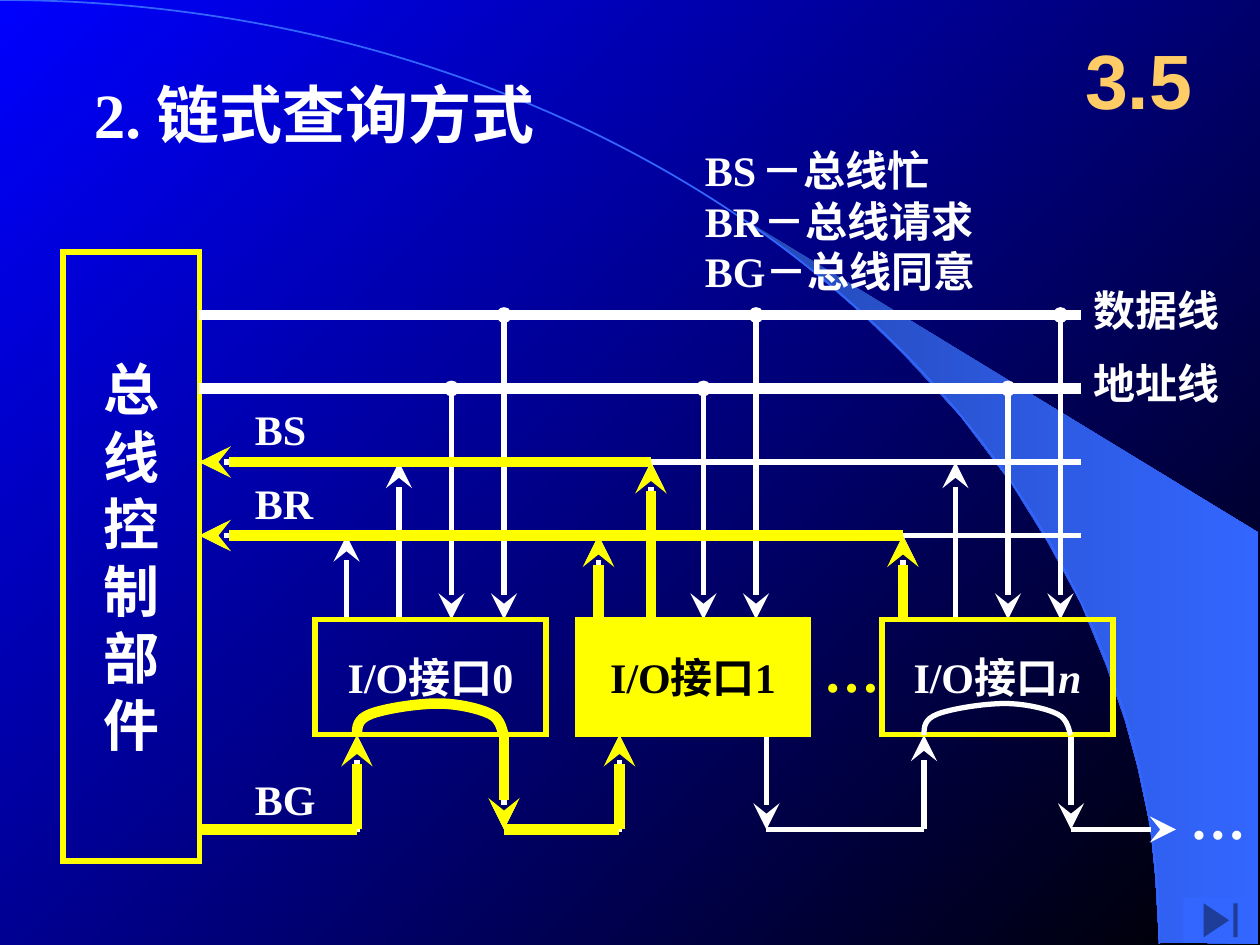
from lxml.etree import SubElement
from pptx import Presentation
from pptx.dml.color import RGBColor
from pptx.enum.shapes import MSO_CONNECTOR, MSO_SHAPE
from pptx.enum.text import MSO_ANCHOR, MSO_AUTO_SIZE, PP_ALIGN
from pptx.oxml.ns import qn
from pptx.util import Cm, Pt

COLORS = {"white": "FFFFFF", "yellow": "FFFF00", "black": "000000", "blue": "0000FF",
          "sky": "3366FF", "deep": "2449B6", "orange": "FFCC66"}
DATA_Y, ADDRESS_Y, BUSY_Y, REQUEST_Y, GRANT_Y = 30, 37, 44, 51, 79
BUS_LEFT, BUS_RIGHT = 19, 103
DEVICE_TOP, DEVICE_WIDTH, DEVICE_HEIGHT = 59, 22, 11
DEVICE_BOTTOM = DEVICE_TOP + DEVICE_HEIGHT
GRANT_IN, GRANT_OUT = 4, 18


def grid(count):
    """Return a length of so many twelfths of an inch."""
    return Cm(count * 2.54 / 12)


def rgb(name):
    """Look up a palette colour."""
    return RGBColor.from_string(COLORS[name])


def format_text(frame, size, color="white", font="Times New Roman", align=PP_ALIGN.LEFT,
                anchor=MSO_ANCHOR.TOP, wrap=False):
    """Format every run in a text frame alike."""
    frame.word_wrap = wrap
    frame.auto_size = MSO_AUTO_SIZE.NONE
    frame.vertical_anchor = anchor
    for para in frame.paragraphs:
        para.alignment = align
        for span in para.runs:
            span.font.size = Pt(size)
            span.font.bold = True
            span.font.name = font
            span.font.color.rgb = rgb(color)


def add_label(page, text, left, top, width, height, size=24, **style):
    """Add a text box and return its frame."""
    box = page.shapes.add_textbox(*map(grid, (left, top, width, height)))
    box.text_frame.text = text
    format_text(box.text_frame, size, **style)
    return box.text_frame


def style_line(shape, color, weight, head=None, tail=None):
    """Set the stroke of a shape or connector, with mitred joins and line ends."""
    shape.line.color.rgb = rgb(color)
    shape.line.width = Pt(weight)
    stroke = shape.element.spPr.find(qn("a:ln"))
    SubElement(stroke, qn("a:miter"), lim="800000")
    for tag, kind in (("a:headEnd", head), ("a:tailEnd", tail)):
        if kind:
            size = "lg" if kind == "stealth" and weight < 6 else "med"
            SubElement(stroke, qn(tag), type=kind, w=size, len=size)


def add_line(page, start, end, color="white", weight=3, head=None, tail=None):
    """Add a straight connector between two grid points."""
    line = page.shapes.add_connector(MSO_CONNECTOR.STRAIGHT, *map(grid, (*start, *end)))
    style_line(line, color, weight, head, tail)
    SubElement(line.element.spPr, qn("a:effectLst"))


def add_outline(page, points, close=False):
    """Add an unfilled freeform through grid points."""
    dots = [(grid(x), grid(y)) for x, y in points]
    builder = page.shapes.build_freeform(*dots[0], scale=1.0)
    builder.add_line_segments(dots[1:], close=close)
    outline = builder.convert_to_shape()
    outline.shadow.inherit = False
    outline.fill.background()
    return outline


def add_curve(page, points):
    """Add a chain of cubic curves from a start and triples of control points."""
    curve = add_outline(page, points)
    track = next(curve.element.iter(qn("a:path")))
    segments = track.findall(qn("a:lnTo"))
    for index in range(0, len(segments), 3):
        bend = SubElement(track, qn("a:cubicBezTo"))
        for segment in segments[index:index + 3]:
            bend.append(segment[0])
            track.remove(segment)
    return curve


def set_gradient(fill, colors, angle):
    """Apply a two-colour linear gradient."""
    fill.gradient()
    fill.gradient_angle = angle
    for stop, color in zip(fill.gradient_stops, colors):
        stop.color.rgb = rgb(color)


def add_backdrop(page, width, height):
    """Paint the gradient, the wedge and the large arc."""
    set_gradient(page.background.fill, ("blue", "black"), 315)
    edge = [(5.89, 1.73), (6.24, 1.99), (6.53, 2.22), (6.85, 2.5), (7.16, 2.8), (7.62, 3.3),
            (8.03, 3.84), (8.32, 4.31), (8.58, 4.79), (8.78, 5.28), (8.93, 5.72),
            (9.03, 6.09), (9.13, 6.56), (9.17, 6.96), (9.2, 7.48)]
    corners = [(width, height), (width, 50.76)]
    wedge = add_outline(page, [(x * 12, y * 12) for x, y in edge] + corners, close=True)
    set_gradient(wedge.fill, ("deep", "sky"), 0)
    wedge.line.fill.background()
    arc = add_curve(page, [(0, 0), (60.96, 0), (110.4, 40.2), (110.4, height)])
    style_line(arc, "sky", 1)


def add_heading(page, left, top, width, height):
    """Place the title, the section number and the legend."""
    title = page.shapes.title
    title.element.getparent().append(title.element)
    title.left, title.top, title.width, title.height = map(grid, (left, top, width, height))
    title.text_frame.text = "2. 链式查询方式"
    format_text(title.text_frame, 36, wrap=True)
    add_label(page, "3.5", left + 93.2, top - 4.6, 15, 11, 44, color="orange", font="Arial",
              align=PP_ALIGN.CENTER, anchor=MSO_ANCHOR.MIDDLE, wrap=True)
    legend = add_label(page, "BS\nBR－总线请求\nBG－总线同意", left + 58.2, top + 6.6, 35.6, 15.6,
                       wrap=True)
    first = legend.paragraphs[0]
    for text in (" ", "－总线忙"):
        first.add_run().text = text
    format_text(legend, 24, wrap=True)
    first.runs[1].font.size = Pt(12)


def add_block(page, text, left, top, width, height, size=24, filled=False):
    """Add a yellow-edged rectangle with centred text."""
    block = page.shapes.add_shape(MSO_SHAPE.RECTANGLE, *map(grid, (left, top, width, height)))
    block.shadow.inherit = False
    if filled:
        block.fill.solid()
        block.fill.fore_color.rgb = rgb("yellow")
    else:
        block.fill.background()
    style_line(block, "yellow", 3)
    block.text_frame.text = text
    format_text(block.text_frame, size, "black" if filled else "white",
                align=PP_ALIGN.CENTER, anchor=MSO_ANCHOR.MIDDLE)
    return block.text_frame


def add_buses(page, left, right):
    """Draw the four horizontal lines and every label."""
    for y, name in ((DATA_Y, "数据线"), (ADDRESS_Y, "地址线")):
        add_line(page, (left, y), (right, y), weight=6)
        add_label(page, name, right, y - 3.5, 14.5, 6)
    for y in (BUSY_Y, REQUEST_Y):
        add_line(page, (left, y), (right, y), head="stealth")
    for y, name, width in ((37.8, "BS", 7.3), (44.85, "BR", 7.9), (73.1, "BG", 8.2)):
        add_label(page, name, left + 4.1, y, width, 6)


def add_taps(page, left):
    """Draw a device's two request arrows and two bus arrows."""
    for step, y in enumerate((REQUEST_Y, BUSY_Y)):
        x = left + 5 * step
        add_line(page, (x, DEVICE_TOP), (x, y), tail="stealth")
    for step, y in enumerate((ADDRESS_Y, DATA_Y), 2):
        x = left + 5 * step
        add_line(page, (x, y), (x, DEVICE_TOP), head="oval", tail="stealth")


def add_bridge(page, left, base, color="white", weight=3):
    """Draw the grant signal's curve through a device."""
    shape = [(0, 0), (0, -0.75), (0, -1.5), (1.3, -2), (2.6, -2.5), (5.7, -3), (7.7, -3),
             (9.6, -3), (11.7, -2.5), (12.7, -2), (13.8, -1.5), (13.8, -0.2), (14, 0)]
    curve = add_curve(page, [(left + x, base + y) for x, y in shape])
    style_line(curve, color, weight)


def add_grant_elbow(page, start, end):
    """Run a white one-piece grant line along the bottom and up into a device."""
    elbow = add_outline(page, [(start, GRANT_Y), (end, GRANT_Y), (end, DEVICE_BOTTOM)])
    style_line(elbow, "white", 3, tail="stealth")


def add_grant_link(page, start, end, color="white", weight=3):
    """Run a two-piece grant line along the bottom and up into a device."""
    add_line(page, (start, GRANT_Y), (end, GRANT_Y), color, weight)
    add_line(page, (end, GRANT_Y), (end, DEVICE_BOTTOM), color, weight, tail="stealth")


def add_chain(page, lefts):
    """Draw the devices, the wiring and the highlighted signal path."""
    first, second, last = lefts
    for left, tap in zip(lefts, (3, 2, 2)):
        add_taps(page, left + tap)
        out = left + GRANT_OUT
        add_line(page, (out, DEVICE_BOTTOM), (out, GRANT_Y), tail="stealth")
    add_grant_elbow(page, BUS_LEFT, first + GRANT_IN)
    add_grant_elbow(page, first + GRANT_OUT, second + GRANT_IN)
    add_grant_link(page, second + GRANT_OUT, last + GRANT_IN)
    add_line(page, (last + GRANT_OUT, GRANT_Y), (112, GRANT_Y), tail="stealth")
    size = (DEVICE_TOP, DEVICE_WIDTH, DEVICE_HEIGHT)
    add_block(page, "I/O接口0", first, *size)
    last_frame = add_block(page, "I/O接口", last, *size)
    last_para = last_frame.paragraphs[0]
    last_para.add_run().text = "n"
    format_text(last_frame, 24, align=PP_ALIGN.CENTER, anchor=MSO_ANCHOR.MIDDLE)
    last_para.runs[1].font.italic = True
    for left in (first, last):
        add_bridge(page, left + GRANT_IN, DEVICE_BOTTOM)
    add_label(page, "…", 77.25, 60, 7.8, 7.6, 32, color="yellow")
    add_label(page, "…", 112.15, 74, 7.8, 7.6, 32)

    glow = {"color": "yellow", "weight": 6}
    for x, y in ((second + 7, BUSY_Y), (last + 2, REQUEST_Y)):
        add_line(page, (x, y), (BUS_LEFT, y), tail="stealth", **glow)
    for x, y in ((second + 2, REQUEST_Y), (second + 7, BUSY_Y), (last + 2, REQUEST_Y)):
        add_line(page, (x, DEVICE_TOP), (x, y), tail="stealth", **glow)
    out = first + GRANT_OUT
    add_grant_link(page, BUS_LEFT, first + GRANT_IN, **glow)
    add_bridge(page, first + GRANT_IN, DEVICE_BOTTOM, **glow)
    add_line(page, (out, DEVICE_BOTTOM), (out, GRANT_Y), tail="stealth", **glow)
    add_grant_link(page, out, second + GRANT_IN, **glow)
    add_block(page, "I/O接口1", second, *size, filled=True)


def add_end_button(page, left, top, width, height):
    """Add the end navigation button."""
    button = page.shapes.add_shape(MSO_SHAPE.ACTION_BUTTON_END,
                                   *map(grid, (left, top, width, height)))
    button.shadow.inherit = False
    button.fill.solid()
    button.fill.fore_color.rgb = rgb("sky")
    button.line.fill.background()


def main():
    """Build the slide and save it."""
    deck = Presentation()
    deck.slide_width, deck.slide_height = Cm(25.4), Cm(19.05)
    page = deck.slides.add_slide(deck.slide_layouts[5])
    add_backdrop(page, 119.88, 89.88)
    add_heading(page, 7.75, 6.6, 57.8, 8.4)
    add_block(page, "\n".join("总线控制部件"), 6, 24, 13, 58, 32)
    add_buses(page, BUS_LEFT, BUS_RIGHT)
    add_chain(page, (30, 55, 84))
    add_end_button(page, 112.7, 85.5, 7.1, 4.3)
    deck.save("out.pptx")


if __name__ == "__main__":
    main()
